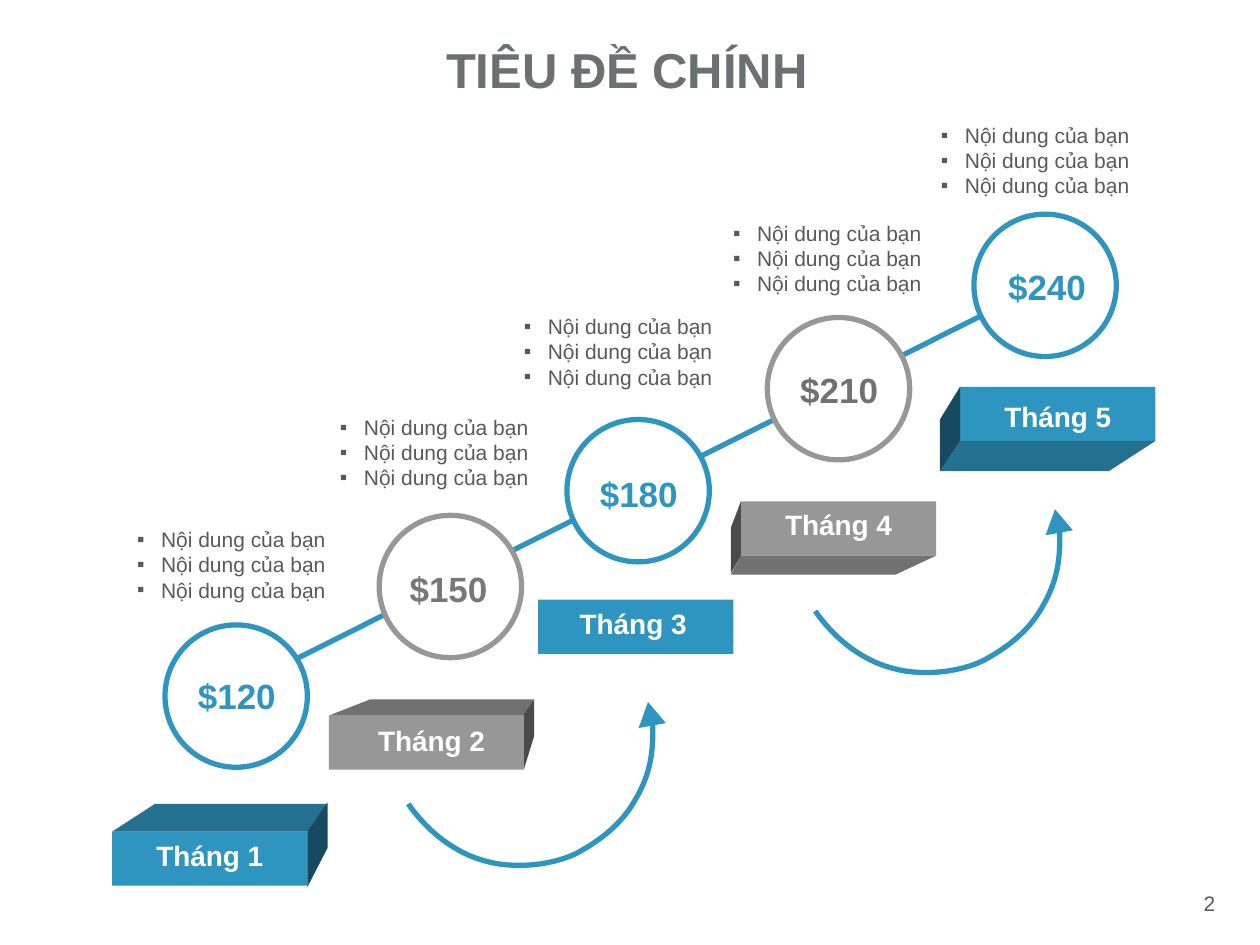
from dataclasses import dataclass

from lxml import etree
from pptx import Presentation
from pptx import util as u
from pptx.dml.color import RGBColor
from pptx.enum import shapes, text
from pptx.oxml.ns import qn

PX = 9144  # 100 px to the inch
FONT = "Arial"
BLUE = ("2E95C0", "237090", "174A60")  # front, top or bottom, side
GREY = ("979797", "717171", "4B4B4B")
WHITE, INK, TITLE = "FFFFFF", "595959", "6B7073"
DISC = 113
BLOCK = (155, 43)
SWOOP_START = (0, 64)
SWOOP_CURVES = [
    ((16, 87), (38, 103), (60, 109)),
    ((83, 116), (114, 113), (134, 103)),
    ((154, 92), (170, 79), (180, 61)),
    ((190, 44), (195, 28), (194, 0)),
]


@dataclass
class Step:
    month: str
    price: str
    colours: tuple
    price_colour: str
    disc: tuple
    block: tuple
    notes: tuple
    price_shift: tuple = (15, 35)
    month_shift: tuple = (25, 0)
    flat_face: tuple = ()
    side_face: tuple = ()


STEPS = [
    Step("Tháng 1", "$120", BLUE, BLUE[0], (131, 496), (89, 660), (99, 413), (15, 34),
         flat_face=((0, 0), (155, 0), (171, -22), (34, -22)),
         side_face=((155, 0), (171, -23), (171, 13), (155, 44))),
    Step("Tháng 2", "$150", GREY, "777777", (301, 409), (261, 568), (260, 324), (13, 36), (29, 1),
         flat_face=((0, 0), (155, 0), (163, -13), (33, -13)),
         side_face=((155, 42), (155, -1), (163, -13), (163, 16))),
    Step("Tháng 3", "$180", BLUE, BLUE[0], (450, 333), (427, 476), (406, 244), (15, 37), (23, 0)),
    Step("Tháng 4", "$210", GREY, GREY[1], (609, 252), (588, 398), (572, 170),
         flat_face=((0, 43), (155, 43), (123, 58), (-8, 58)),
         side_face=((0, 0), (0, 43), (-8, 57), (-8, 21))),
    Step("Tháng 5", "$240", BLUE, BLUE[0], (773, 170), (762, 307), (737, 92), (16, 35), (25, 5),
         flat_face=((0, 43), (155, 43), (118, 67), (-16, 67)),
         side_face=((0, 0), (0, 43), (-16, 67), (-16, 26))),
]


def px(*lengths):
    return [u.Emu(round(length * PX)) for length in lengths]


def colour(value):
    return RGBColor.from_string(value)


def shift(origin, offset):
    return origin[0] + offset[0], origin[1] + offset[1]


def paint(shape, fill=None, line=None):
    shape.shadow.inherit = False
    if fill:
        shape.fill.solid()
        shape.fill.fore_color.rgb = colour(fill)
    else:
        shape.fill.background()
    if line:
        shape.line.color.rgb = colour(line)
        shape.line.width = u.Pt(3)
    else:
        shape.line.fill.background()
    return shape


def add_preset(page, kind, box, fill=None, line=None):
    return paint(page.shapes.add_shape(kind, *px(*box)), fill, line)


def add_outline(page, origin, points, fill=None, line=None):
    """Add a filled polygon, or an open stroke when no fill is given."""
    start, *rest = [tuple(px(*shift(origin, point))) for point in points]
    builder = page.shapes.build_freeform(*start)
    builder.add_line_segments(rest, close=bool(fill))
    return paint(builder.convert_to_shape(), fill, line)


def write(frame, words, size, ink, bold=True, align=text.PP_ALIGN.CENTER, wrap=False):
    frame.text = words
    frame.word_wrap = wrap
    frame.vertical_anchor = text.MSO_ANCHOR.MIDDLE
    for para in frame.paragraphs:
        para.alignment = align
        for span in para.runs:
            span.font.name = FONT
            span.font.size = u.Pt(size)
            span.font.bold = bold
            span.font.color.rgb = colour(ink)


def add_text(page, box, *content, **options):
    """Add a text box that grows with its text; the content goes to write."""
    frame = page.shapes.add_textbox(*px(*box)).text_frame
    write(frame, *content, **options)
    frame.auto_size = text.MSO_AUTO_SIZE.SHAPE_TO_FIT_TEXT
    return frame


def add_notes(page, corner):
    words = "\n".join(["Nội dung của bạn"] * 3)
    frame = add_text(page, (*corner, 174, 70), words, 12, INK,
                     bold=False, align=text.PP_ALIGN.LEFT, wrap=True)
    indent = px(19)[0]
    for para in frame.paragraphs:
        props = para._p.get_or_add_pPr()
        props.set("marL", str(indent))
        props.set("indent", str(-indent))
        bullet_colour = etree.SubElement(props, qn("a:buClr"))
        etree.SubElement(bullet_colour, qn("a:srgbClr"), val=INK)
        etree.SubElement(props, qn("a:buFont"), typeface=FONT)
        etree.SubElement(props, qn("a:buChar"), char="▪")


def add_spine(page, start, end):
    """Add the line that runs behind all the discs."""
    spine = page.shapes.add_connector(shapes.MSO_CONNECTOR.STRAIGHT, *px(*start, *end))
    spine.line.color.rgb = colour(BLUE[0])
    spine.line.width = u.Pt(3)
    etree.SubElement(spine._element.spPr, qn("a:effectLst"))


def swoop_points(pieces=12):
    points = [SWOOP_START]
    for first, second, end in SWOOP_CURVES:
        start = points[-1]
        for piece in range(1, pieces + 1):
            t = piece / pieces
            points.append(tuple(
                (1 - t) ** 3 * a + 3 * (1 - t) ** 2 * t * b + 3 * (1 - t) * t ** 2 * c + t ** 3 * d
                for a, b, c, d in zip(start, first, second, end)))
    return points


def add_swoop(page, origin):
    """Add a curved arrow that rises to the right."""
    add_outline(page, origin, swoop_points(), line=BLUE[0])
    head_box = (*shift(origin, (181, -17)), 22, 19)
    head = add_preset(page, shapes.MSO_SHAPE.ISOSCELES_TRIANGLE, head_box, BLUE[0])
    head.rotation = 349.8


def add_step(page, step):
    front, flat, side = step.colours
    add_preset(page, shapes.MSO_SHAPE.RECTANGLE, (*step.block, *BLOCK), front)
    for face, fill in ((step.flat_face, flat), (step.side_face, side)):
        if face:
            add_outline(page, step.block, face, fill)
    add_preset(page, shapes.MSO_SHAPE.OVAL, (*step.disc, DISC, DISC), WHITE, front)
    price_box = (*shift(step.disc, step.price_shift), 84, 44)
    add_text(page, price_box, step.price, 20, step.price_colour, wrap=True)
    month_box = (*shift(step.block, step.month_shift), 105, 37)
    add_text(page, month_box, step.month, 16, WHITE)
    add_notes(page, step.notes)


def add_page_number(page, box, number):
    frame = add_preset(page, shapes.MSO_SHAPE.OVAL, box).text_frame
    frame.margin_left = frame.margin_top = frame.margin_right = frame.margin_bottom = 0
    write(frame, number, 12, INK, bold=False)


def main():
    deck = Presentation()
    deck.slide_width, deck.slide_height = px(1000, 750)
    page = deck.slides.add_slide(deck.slide_layouts[6])
    add_page_number(page, (935, 692, 50, 50), "2")
    add_text(page, (344, 26, 307, 57), "TIÊU ĐỀ CHÍNH", 28, TITLE)
    add_spine(page, (215, 533), (798, 241))
    for origin in ((647, 421), (324, 574)):
        add_swoop(page, origin)
    for step in STEPS:
        add_step(page, step)
    deck.save("out.pptx")


if __name__ == "__main__":
    main()
